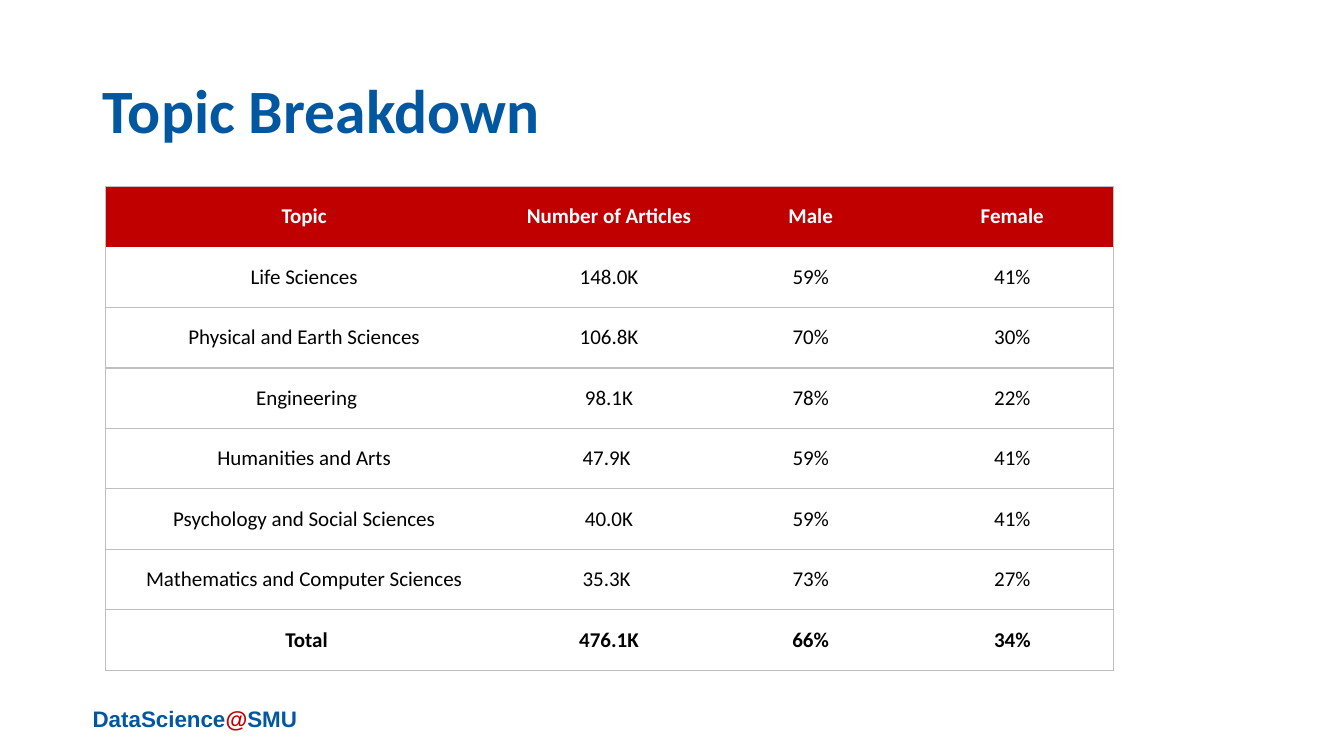
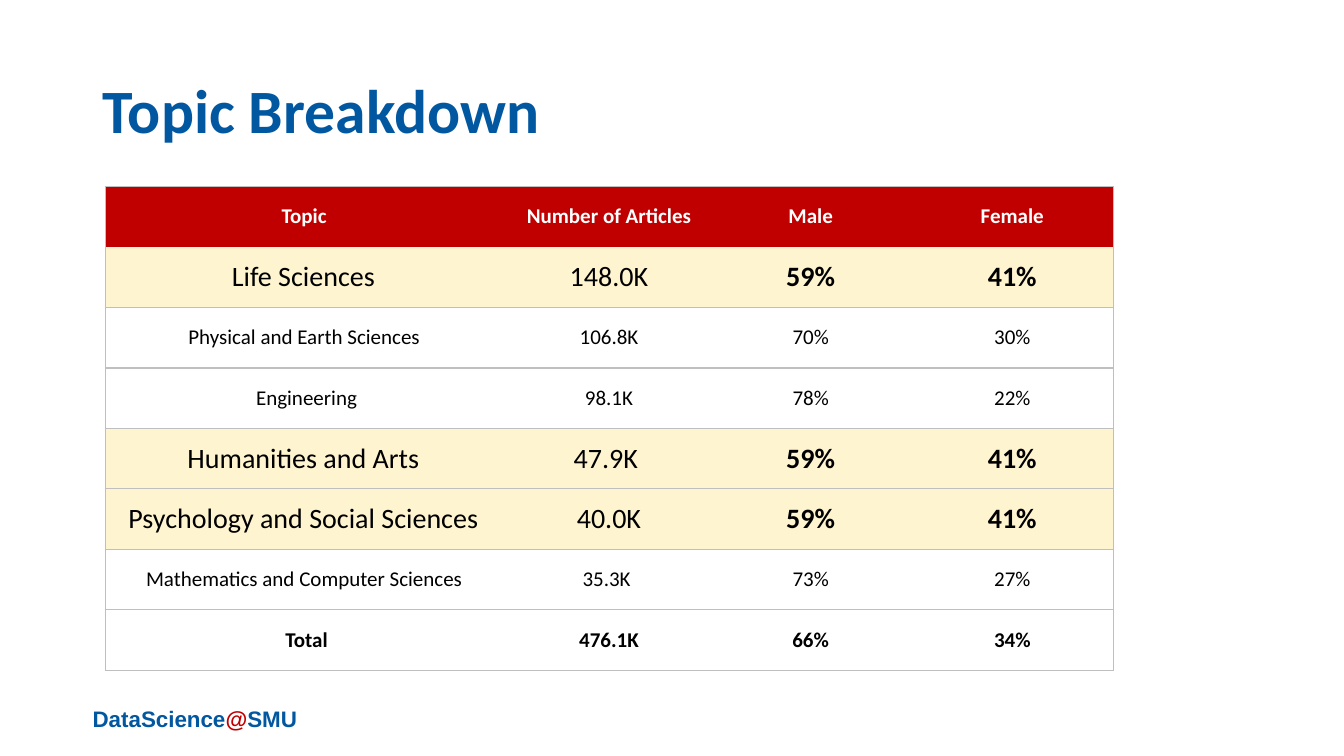
import pptx
import pptx.util
import pptx.dml.color
import pptx.enum.text
import pptx.oxml
import pptx.oxml.ns

# Shared look
BLUE, RED, GRAY = "0257A1", "C00000", "BFBFBF"
CREAM, WHITE, BLACK = "FEF4CF", "FFFFFF", "000000"
WIDE, HIGH = 13.33, 7.5
COL, ROW = 2, 0.6  # table grid, inches
SPANS = [2, 1, 1, 1]
PLAIN = "{2D5ABB26-0587-4C30-8999-92F81FD0307C}"  # no style, no grid
TITLE = "Topic Breakdown"

# Some entries end in a no-break space
DATA = [
    ["Topic ", "Number of Articles", "Male", "Female"],
    ["Life Sciences ", "148.0K", "59%", "41%"],
    ["Physical and Earth Sciences ", "106.8K", "70%", "30%"],
    ["Engineering", "98.1K", "78%", "22%"],
    ["Humanities and Arts ", "47.9K ", "59%", "41%"],
    ["Psychology and Social Sciences ", "40.0K", "59%", "41%"],
    ["Mathematics and Computer Sciences ", "35.3K ", "73%", "27%"],
    ["Total", "476.1K", "66%", "34%"],
]
LAST = len(DATA) - 1


def inch(size):
    return pptx.util.Inches(size)


def paint(code):
    return pptx.dml.color.RGBColor.from_string(code)


def put_run(para, text, size, color, bold=True, face="Calibri"):
    run = para.add_run()
    run.text = text
    font = run.font
    font.name, font.size, font.bold = face, pptx.util.Pt(size), bold
    font.color.rgb = paint(color)


def add_foot(slide):
    box = slide.shapes.add_textbox(inch(0.82), inch(6.95), inch(2.25), inch(0.53))
    box.text_frame.word_wrap = True
    para = box.text_frame.paragraphs[0]
    for text, color in [("DataScience", BLUE), ("@", RED), ("SMU", BLUE)]:
        put_run(para, text, 16, color, face="Arial")


def set_title(slide, text):
    head = slide.shapes.title
    head.left, head.top = inch(0.92), inch(0.4)
    head.width, head.height = inch(11.5), inch(1.45)
    frame = head.text_frame
    frame.auto_size = pptx.enum.text.MSO_AUTO_SIZE.NONE
    frame.vertical_anchor = pptx.enum.text.MSO_ANCHOR.MIDDLE
    para = frame.paragraphs[0]
    para.alignment = pptx.enum.text.PP_ALIGN.LEFT
    para.line_spacing = 0.9
    put_run(para, text, 44, BLUE)


def add_edge(cell, side, width):
    line = pptx.oxml.parse_xml(
        f'<a:ln{side} {pptx.oxml.ns.nsdecls("a")} w="{pptx.util.Pt(width)}">'
        f'<a:solidFill><a:srgbClr val="{GRAY}"/></a:solidFill></a:ln{side}>')
    cell._tc.get_or_add_tcPr().append(line)


def rule_cell(cell, row, col):
    # Thin outer frame, full rules between body rows
    if col == 0:
        add_edge(cell, "L", 0.5)
    if col == len(SPANS) - 1:
        add_edge(cell, "R", 0.5)
    if row != 1:
        add_edge(cell, "T", 1 if row else 0.5)
    if row:
        add_edge(cell, "B", 1)


def fill_cell(cell, text, row, col, mark):
    rule_cell(cell, row, col)
    if row == 0 or mark:
        cell.fill.solid()
        cell.fill.fore_color.rgb = paint(CREAM if mark else RED)
    else:
        cell.fill.background()
    cell.vertical_anchor = pptx.enum.text.MSO_ANCHOR.MIDDLE
    para = cell.text_frame.paragraphs[0]
    para.alignment = pptx.enum.text.PP_ALIGN.CENTER
    bold = row in (0, LAST) or (mark and col > 1)
    put_run(para, text, 20 if mark else 15, BLACK if row else WHITE, bold)


def add_grid(slide, marks):
    frame = slide.shapes.add_table(
        len(DATA), len(SPANS), inch(1.04), inch(1.85),
        inch(sum(SPANS) * COL), inch(len(DATA) * ROW))
    table = frame.table
    table.horz_banding = False
    for style in frame.element.iter(pptx.oxml.ns.qn("a:tableStyleId")):
        style.text = PLAIN
    for col, span in enumerate(SPANS):
        table.columns[col].width = inch(span * COL)
    for row, texts in enumerate(DATA):
        for col, text in enumerate(texts):
            fill_cell(table.cell(row, col), text, row, col, row in marks)


def main():
    deck = pptx.Presentation()
    deck.slide_width, deck.slide_height = inch(WIDE), inch(HIGH)
    # Plain table, then the same with the 59/41 topics marked
    for marks in [(), (1, 4, 5)]:
        slide = deck.slides.add_slide(deck.slide_layouts[5])
        add_foot(slide)
        set_title(slide, TITLE)
        add_grid(slide, marks)
    deck.save("out.pptx")


if __name__ == "__main__":
    main()
